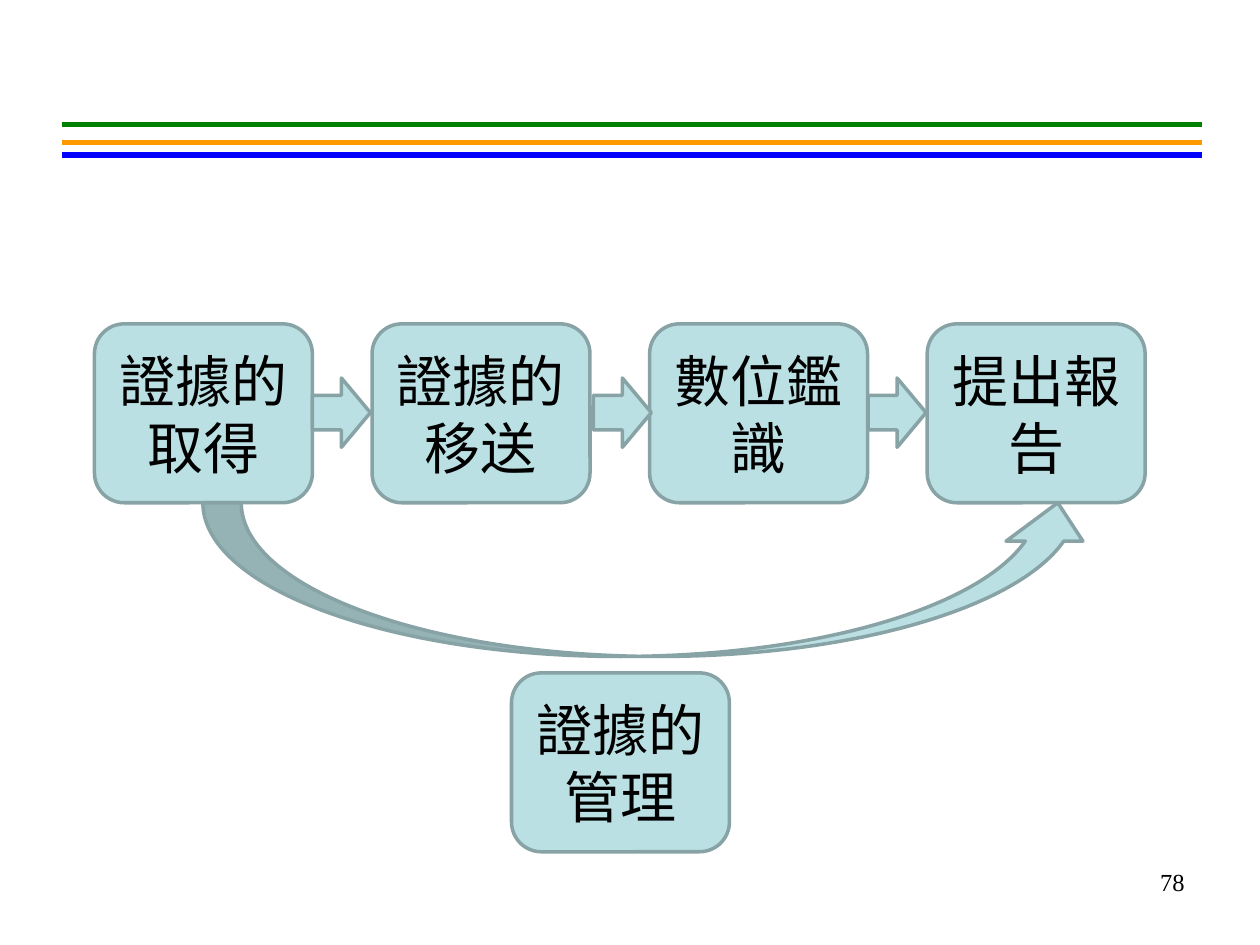
"""Build a slide showing the digital evidence handling process."""
from lxml import etree
from pptx import Presentation
from pptx.dml.color import RGBColor
from pptx.enum import shapes, text
from pptx.oxml import ns
from pptx.util import Inches, Pt

CJK_FONT = "Noto Sans CJK SC"
BOX_WIDTH, BOX_HEIGHT = 1.73, 1.42
ROW_LEFT, ROW_TOP, ROW_PITCH = 0.75, 2.57, 2.203


def color(value):
    return RGBColor.from_string(value)


def add_shape(kind, left, top, width, height, label=""):
    shape = slide.shapes.add_shape(
        kind, Inches(left), Inches(top), Inches(width), Inches(height))
    shape.shadow.inherit = False
    shape.fill.solid()
    shape.fill.fore_color.rgb = color("BBE0E3")
    shape.line.color.rgb = color("88A3A5")
    shape.line.width = Pt(2)
    if label:
        frame = shape.text_frame
        frame.word_wrap = True
        frame.vertical_anchor = text.MSO_ANCHOR.MIDDLE
        frame.margin_left = frame.margin_right = Inches(0.03)
        paragraph = frame.paragraphs[0]
        paragraph.text = label
        paragraph.alignment = text.PP_ALIGN.CENTER
        paragraph.font.size = Pt(32)
        paragraph.font.name = CJK_FONT
        paragraph.font.color.rgb = color("000000")
        properties = paragraph._p.find(".//" + ns.qn("a:defRPr"))
        east_asian = etree.SubElement(properties, ns.qn("a:ea"))
        east_asian.set("typeface", CJK_FONT)


presentation = Presentation()
presentation.slide_width = Inches(10)
presentation.slide_height = Inches(7.5)
slide = presentation.slides.add_slide(presentation.slide_layouts[6])

for y, line_color in ((0.99, "008000"), (1.13, "FF9900"), (1.23, "0000FF")):
    rule = slide.shapes.add_connector(
        shapes.MSO_CONNECTOR.STRAIGHT,
        Inches(0.49), Inches(y), Inches(9.54), Inches(y))
    rule.line.color.rgb = color(line_color)
    rule.line.width = Pt(3)
    etree.SubElement(rule._element.spPr, ns.qn("a:effectLst"))

number_box = slide.shapes.add_textbox(
    Inches(7.17), Inches(6.83), Inches(2.33), Inches(0.52))
number_box.text_frame.word_wrap = True
paragraph = number_box.text_frame.paragraphs[0]
paragraph.text = "78"
paragraph.alignment = text.PP_ALIGN.RIGHT
paragraph.font.size = Pt(14)
paragraph.font.name = "Times New Roman"
paragraph.font.color.rgb = color("000000")

steps = ["證據的取得", "證據的移送", "數位鑑識", "提出報告"]
for index, step in enumerate(steps):
    add_shape(shapes.MSO_SHAPE.ROUNDED_RECTANGLE, ROW_LEFT + index * ROW_PITCH,
              ROW_TOP, BOX_WIDTH, BOX_HEIGHT, step)

for left in (2.48, 4.71, 6.89):
    add_shape(shapes.MSO_SHAPE.RIGHT_ARROW, left, 3, 0.46, 0.55)

add_shape(shapes.MSO_SHAPE.ROUNDED_RECTANGLE, 4.06, 5.34,
          BOX_WIDTH, BOX_HEIGHT, "證據的管理")
add_shape(shapes.MSO_SHAPE.CURVED_UP_ARROW, 1.61, 3.99, 7.09, 1.22)

presentation.save("out.pptx")
